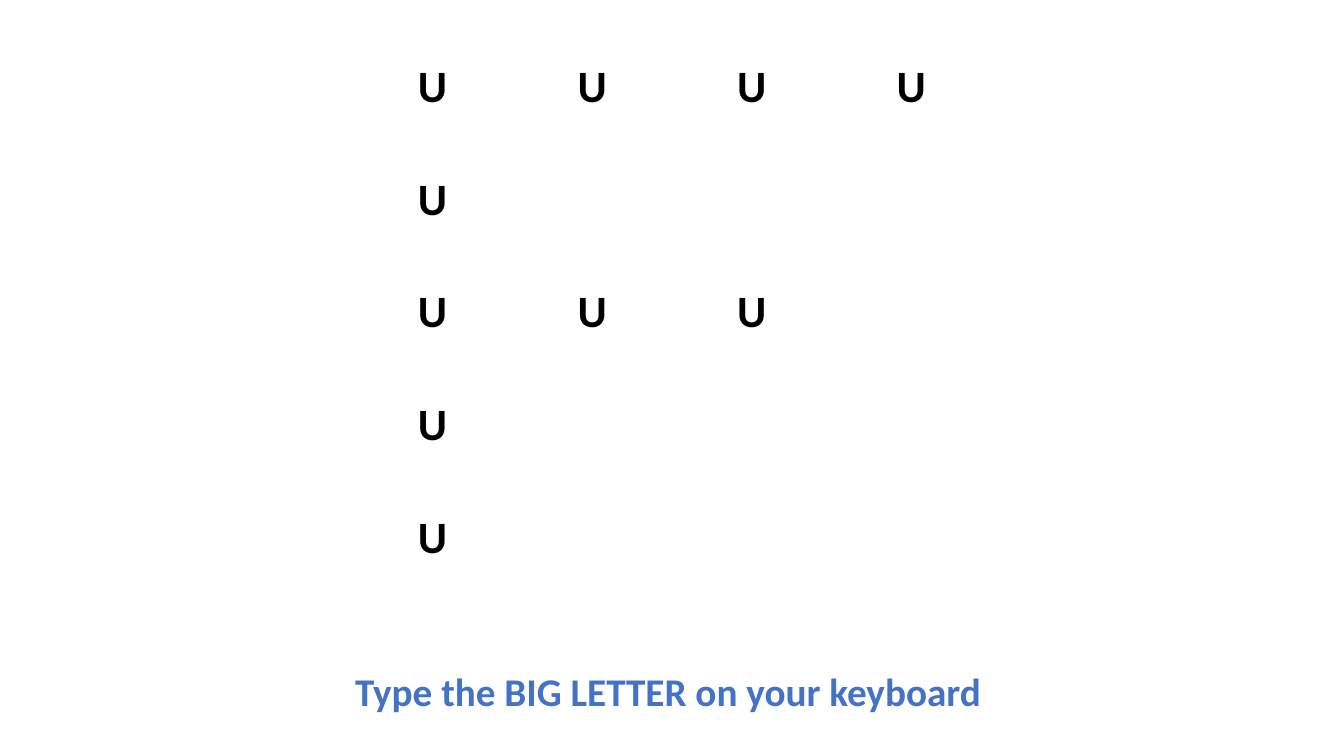
from pptx import Presentation, util as u
from pptx.dml import color
from pptx.enum import text

LETTER_ROWS = ["UUUU", "U", "UUU", "U", "U"]
INSTRUCTION = "Type the BIG LETTER on your keyboard"
COLUMNS = 4
LEFT, TOP, WIDTH, ROW_HEIGHT = 252, 40.3, 456, 80.4


def add_run(paragraph, content, size, hex_color):
    run = paragraph.add_run()
    run.text = content
    run.font.name = "Calibri"
    run.font.size = u.Pt(size)
    run.font.bold = True
    run.font.color.rgb = color.RGBColor.from_string(hex_color)


presentation = Presentation()
presentation.slide_width = u.Pt(960)
presentation.slide_height = u.Pt(540)
slide = presentation.slides.add_slide(presentation.slide_layouts[6])

table = slide.shapes.add_table(
    len(LETTER_ROWS), COLUMNS, u.Pt(LEFT), u.Pt(TOP),
    u.Pt(WIDTH), u.Pt(ROW_HEIGHT * len(LETTER_ROWS))).table
table.first_row = False
table.horz_banding = False
for column in table.columns:
    column.width = u.Pt(WIDTH / COLUMNS)
for row, letters in zip(table.rows, LETTER_ROWS):
    row.height = u.Pt(ROW_HEIGHT)
    for cell, letter in zip(row.cells, letters.ljust(COLUMNS)):
        cell.fill.background()
        cell.margin_left = cell.margin_right = u.Pt(5)
        cell.margin_top = cell.margin_bottom = 0
        if letter.strip():
            paragraph = cell.text_frame.paragraphs[0]
            paragraph.alignment = text.PP_ALIGN.CENTER
            paragraph.line_spacing = 1.07
            add_run(paragraph, letter, 32, "000000")

instruction = slide.shapes.add_textbox(u.Pt(246.5), u.Pt(473), u.Pt(466.5), u.Pt(41))
instruction.text_frame.word_wrap = False
instruction.text_frame.auto_size = text.MSO_AUTO_SIZE.SHAPE_TO_FIT_TEXT
add_run(instruction.text_frame.paragraphs[0], INSTRUCTION, 28, "4472C4")

presentation.save("out.pptx")
